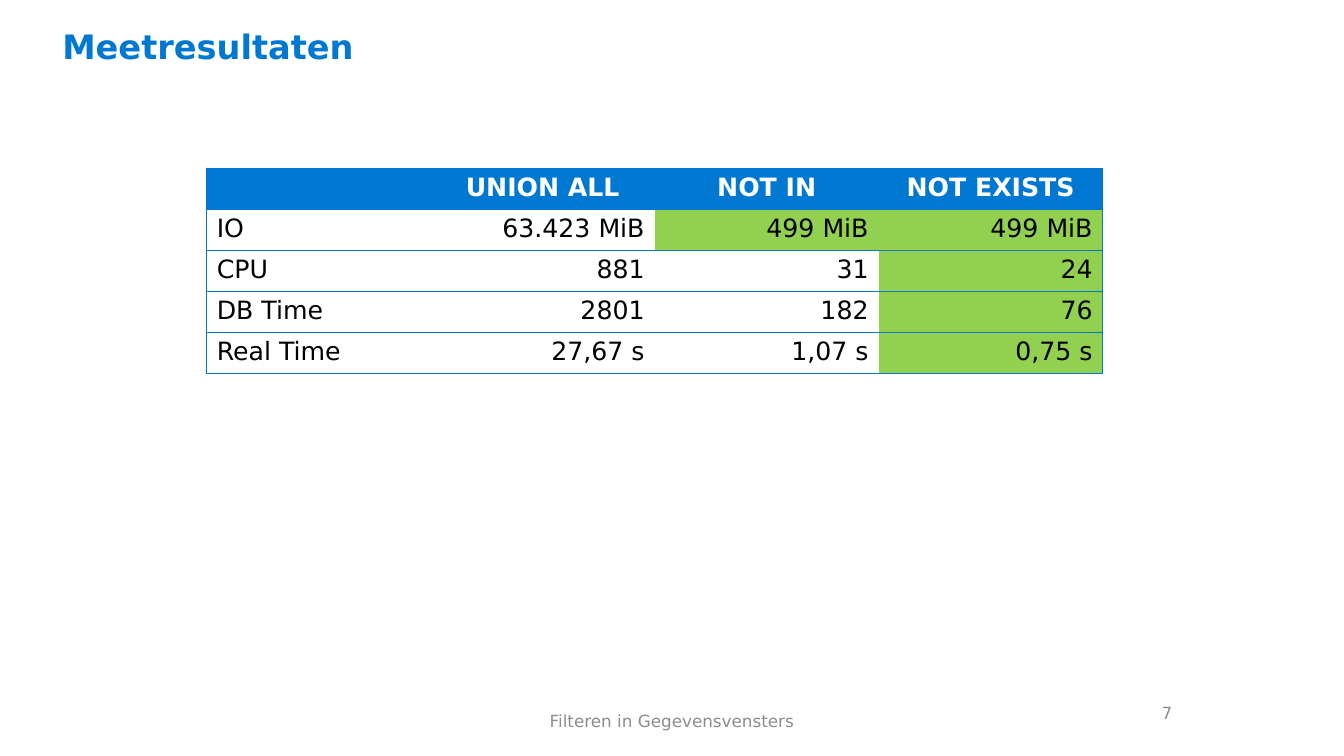
from lxml import etree
from pptx import Presentation
from pptx import util as u
from pptx.dml.color import RGBColor
from pptx.enum import text
from pptx.oxml import ns

COLORS = {
    "blue": "0078D2",
    "green": "92D050",
    "grey": "8C8C8C",
    "white": "FFFFFF",
    "black": "000000",
}
LEFT, CENTER, RIGHT = text.PP_ALIGN.LEFT, text.PP_ALIGN.CENTER, text.PP_ALIGN.RIGHT


def write_text(frame, content, size=18, color="black", bold=False, align=LEFT):
    frame.text = content
    paragraph = frame.paragraphs[0]
    paragraph.alignment = align
    font = paragraph.font
    font.name = "DejaVu Sans"
    font.size = u.Pt(size)
    font.bold = bold
    font.color.rgb = RGBColor.from_string(COLORS[color])


def set_borders(cell, blue_sides):
    """Draw thin blue lines on the given sides (L, R, T, B) and none elsewhere."""
    properties = cell._tc.get_or_add_tcPr()
    for position, side in enumerate("LRTB"):
        line = etree.Element(ns.qn(f"a:ln{side}"), w=str(u.Pt(0.5)))
        if side in blue_sides:
            fill = etree.SubElement(line, ns.qn("a:solidFill"))
            etree.SubElement(fill, ns.qn("a:srgbClr"), val=COLORS["blue"])
        else:
            etree.SubElement(line, ns.qn("a:noFill"))
        properties.insert(position, line)


presentation = Presentation()
presentation.slide_width = u.Cm(33.87)
presentation.slide_height = u.Cm(19.05)
slide = presentation.slides.add_slide(presentation.slide_layouts[5])

title = slide.shapes.title
title.left, title.top, title.width, title.height = u.Cm(1.57), u.Cm(0.66), u.Cm(23.44), u.Cm(2.18)
frame = title.text_frame
frame.margin_left = frame.margin_right = frame.margin_top = frame.margin_bottom = 0
frame.vertical_anchor = text.MSO_ANCHOR.TOP
frame.auto_size = text.MSO_AUTO_SIZE.NONE
write_text(frame, "Meetresultaten", size=24, color="blue", bold=True)

footers = [
    ("7", 22.17, 17.45, 7.62, RIGHT),
    ("Filteren in Gegevensvensters", 11.22, 17.65, 11.43, CENTER),
]
for content, left, top, width, align in footers:
    box = slide.shapes.add_textbox(u.Cm(left), u.Cm(top), u.Cm(width), u.Cm(1.02))
    box.text_frame.word_wrap = True
    box.text_frame.vertical_anchor = text.MSO_ANCHOR.MIDDLE
    write_text(box.text_frame, content, size=12, color="grey", align=align)

results = [
    ["", "UNION ALL", "NOT IN", "NOT EXISTS"],
    ["IO", "63.423 MiB", "499 MiB", "499 MiB"],
    ["CPU", "881", "31", "24"],
    ["DB Time", "2801", "182", "76"],
    ["Real Time", "27,67 s", "1,07 s", "0,75 s"],
]
last_column = len(results[0]) - 1
table = slide.shapes.add_table(
    len(results), len(results[0]), u.Cm(5.21), u.Cm(4.24), u.Cm(22.58), u.Cm(5.16)
).table
table.horz_banding = False

for row, values in enumerate(results):
    for column, value in enumerate(values):
        cell = table.cell(row, column)
        is_header = row == 0
        is_best = not is_header and value == values[last_column]
        if is_header:
            background = "blue"
            write_text(cell.text_frame, value, color="white", bold=True, align=CENTER)
        else:
            background = "green" if is_best else "white"
            write_text(cell.text_frame, value, align=RIGHT if column else LEFT)
        cell.fill.solid()
        cell.fill.fore_color.rgb = RGBColor.from_string(COLORS[background])
        outer_sides = {0: "L", last_column: "R"}.get(column, "")
        set_borders(cell, "TB" + outer_sides)

presentation.save("out.pptx")
